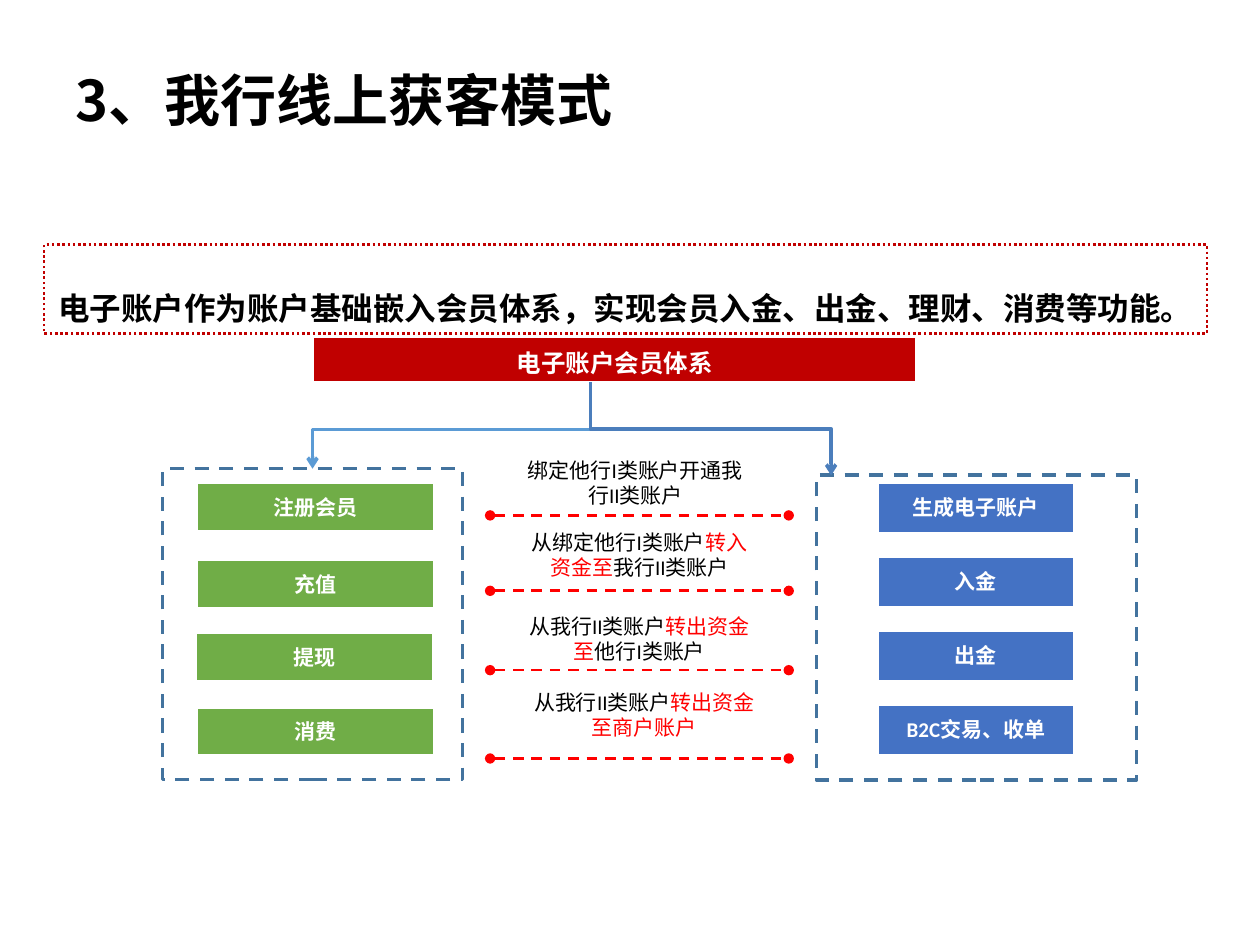
"""Build the slide on winning customers online through electronic accounts."""
from dataclasses import dataclass

import lxml.etree
import pptx
import pptx.dml.color
import pptx.enum.dml
import pptx.enum.shapes
import pptx.enum.text
import pptx.oxml.ns
import pptx.util

Cm = pptx.util.Cm
Color = pptx.dml.color.RGBColor
Align = pptx.enum.text.PP_ALIGN
Anchor = pptx.enum.text.MSO_ANCHOR
Dash = pptx.enum.dml.MSO_LINE
Connector = pptx.enum.shapes.MSO_CONNECTOR
qn = pptx.oxml.ns.qn

BLACK = Color(0x00, 0x00, 0x00)
WHITE = Color(0xFF, 0xFF, 0xFF)
RED = Color(0xFF, 0x00, 0x00)
DARK_RED = Color(0xC0, 0x00, 0x00)
GREEN = Color(0x70, 0xAD, 0x47)
BLUE = Color(0x44, 0x72, 0xC4)
FRAME_BLUE = Color(0x43, 0x73, 0x9E)
LEFT_ARROW = Color(0x5B, 0x9B, 0xD5)
RIGHT_ARROW = Color(0x4B, 0x7E, 0xBC)
CJK_FONT = "Noto Sans CJK SC"
BAR_INSETS = (0.38, 0.3)
TEXT_INSETS = (0.25, 0.13)


@dataclass
class Area:
    left: float
    top: float
    width: float
    height: float

    def lengths(self) -> list:
        return [Cm(v) for v in (self.left, self.top, self.width, self.height)]


@dataclass
class Step:
    member: str
    member_left: float
    member_top: float
    account: str
    note: list
    note_left: float
    note_top: float
    link_y: float


STEPS = [
    Step("注册会员", 3.96, 9.73, "生成电子账户",
         [("绑定他行I类账户开通我行II类账户", BLACK)], 10.31, 9.09, 10.39),
    Step("充值", 3.96, 11.28, "入金",
         [("从绑定他行I类账户", BLACK), ("转入资金至", RED), ("我行II类账户", BLACK)],
         10.39, 10.54, 11.91),
    Step("提现", 3.94, 12.75, "出金",
         [("从我行II类账户", BLACK), ("转出资金至", RED), ("他行I类账户", BLACK)],
         10.39, 12.24, 13.51),
    Step("消费", 3.96, 14.25, "B2C交易、收单",
         [("从我行II类账户", BLACK), ("转出资金至商户账户", RED)],
         10.49, 13.77, 15.29),
]


def write(shape, pieces: list, *, size: float, font: str = "Calibri",
          bold: bool = False, align=Align.CENTER, anchor=Anchor.TOP,
          spacing: float = 1.0, insets: tuple = TEXT_INSETS) -> None:
    frame = shape.text_frame
    frame.word_wrap = True
    frame.vertical_anchor = anchor
    frame.margin_left = frame.margin_right = Cm(insets[0])
    frame.margin_top = frame.margin_bottom = Cm(insets[1])
    para = frame.paragraphs[0]
    para.alignment = align
    para.line_spacing = spacing
    for text, color in pieces:
        span = para.add_run()
        span.text = text
        span.font.size = pptx.util.Pt(size)
        span.font.bold = bold
        span.font.name = font
        span.font.color.rgb = color
        east_asian = lxml.etree.SubElement(span.font._element, qn("a:ea"))
        east_asian.set("typeface", CJK_FONT)


def set_line(line, color: Color, width: float, dash=None) -> None:
    line.color.rgb = color
    line.width = pptx.util.Pt(width)
    if dash is not None:
        line.dash_style = dash


def add_box(page, area: Area, line_color: Color, *, fill=None,
            width: float = 2, dash=None):
    box = page.shapes.add_shape(
        pptx.enum.shapes.MSO_SHAPE.RECTANGLE, *area.lengths())
    box.shadow.inherit = False
    if fill is None:
        box.fill.background()
    else:
        box.fill.solid()
        box.fill.fore_color.rgb = fill
    set_line(box.line, line_color, width, dash)
    return box


def add_bar(page, area: Area, text: str, fill: Color, *, size: float = 12,
            font: str = "Calibri") -> None:
    bar = add_box(page, area, WHITE, fill=fill)
    write(bar, [(text, WHITE)], size=size, font=font, bold=True,
          spacing=0.9, insets=BAR_INSETS)


def add_link(page, kind, start: tuple, end: tuple, color: Color, *,
             width: float = 2, dash=None, head=None, tail: str = "arrow",
             preset=None, rotation: int = 0) -> None:
    link = page.shapes.add_connector(
        kind, *[Cm(v) for v in (*start, *end)])
    set_line(link.line, color, width, dash)
    properties = link._element.spPr
    outline = properties.find(qn("a:ln"))
    for tag, ending in (("a:headEnd", head), ("a:tailEnd", tail)):
        if ending:
            lxml.etree.SubElement(outline, qn(tag)).set("type", ending)
    lxml.etree.SubElement(properties, qn("a:effectLst"))
    if rotation:
        properties.find(qn("a:xfrm")).set("rot", str(rotation * 60000))
    if preset:
        properties.find(qn("a:prstGeom")).set("prst", preset)


def add_step(page, index: int, step: Step) -> None:
    add_bar(page, Area(step.member_left, step.member_top, 4.8, 0.99),
            step.member, GREEN, font="DejaVu Sans")
    add_bar(page, Area(17.68, 9.73 + 1.49 * index, 3.99, 1.04),
            step.account, BLUE)
    add_link(page, Connector.STRAIGHT, (9.88, step.link_y), (15.9, step.link_y),
             RED, width=1.5, dash=Dash.DASH, head="oval", tail="oval")
    note = page.shapes.add_textbox(
        *Area(step.note_left, step.note_top, 5, 1.3).lengths())
    write(note, step.note, size=12)


def main() -> None:
    deck = pptx.Presentation()
    deck.slide_width, deck.slide_height = Cm(25.4), Cm(19.05)
    page = deck.slides.add_slide(deck.slide_layouts[6])

    title = page.shapes.add_textbox(*Area(1.27, 1.24, 17.22, 1.5).lengths())
    write(title, [("3、我行线上获客模式", BLACK)], size=32, font=CJK_FONT,
          bold=True, align=Align.LEFT, anchor=Anchor.MIDDLE)
    banner = add_box(page, Area(0.89, 4.93, 23.44, 1.8), DARK_RED,
                     width=1.5, dash=Dash.ROUND_DOT)
    write(banner,
          [("电子账户作为账户基础嵌入会员体系，实现会员入金、出金、理财、消费等功能。", BLACK)],
          size=18, font=CJK_FONT, bold=True, spacing=2.0)
    add_bar(page, Area(6.3, 6.78, 12.19, 0.94), "电子账户会员体系", DARK_RED, size=14)

    for area in (Area(3.28, 9.45, 6.05, 6.27), Area(16.46, 9.58, 6.45, 6.15)):
        add_box(page, area, FRAME_BLUE, dash=Dash.DASH)
    add_link(page, Connector.ELBOW, (6.3, 9.45), (11.9, 8.66), LEFT_ARROW,
             preset="bentConnector2", rotation=180)
    add_link(page, Connector.ELBOW, (15.27, 6.22), (13.39, 11.07), RIGHT_ARROW,
             rotation=270)
    for index, step in enumerate(STEPS):
        add_step(page, index, step)
    deck.save("out.pptx")


main()
